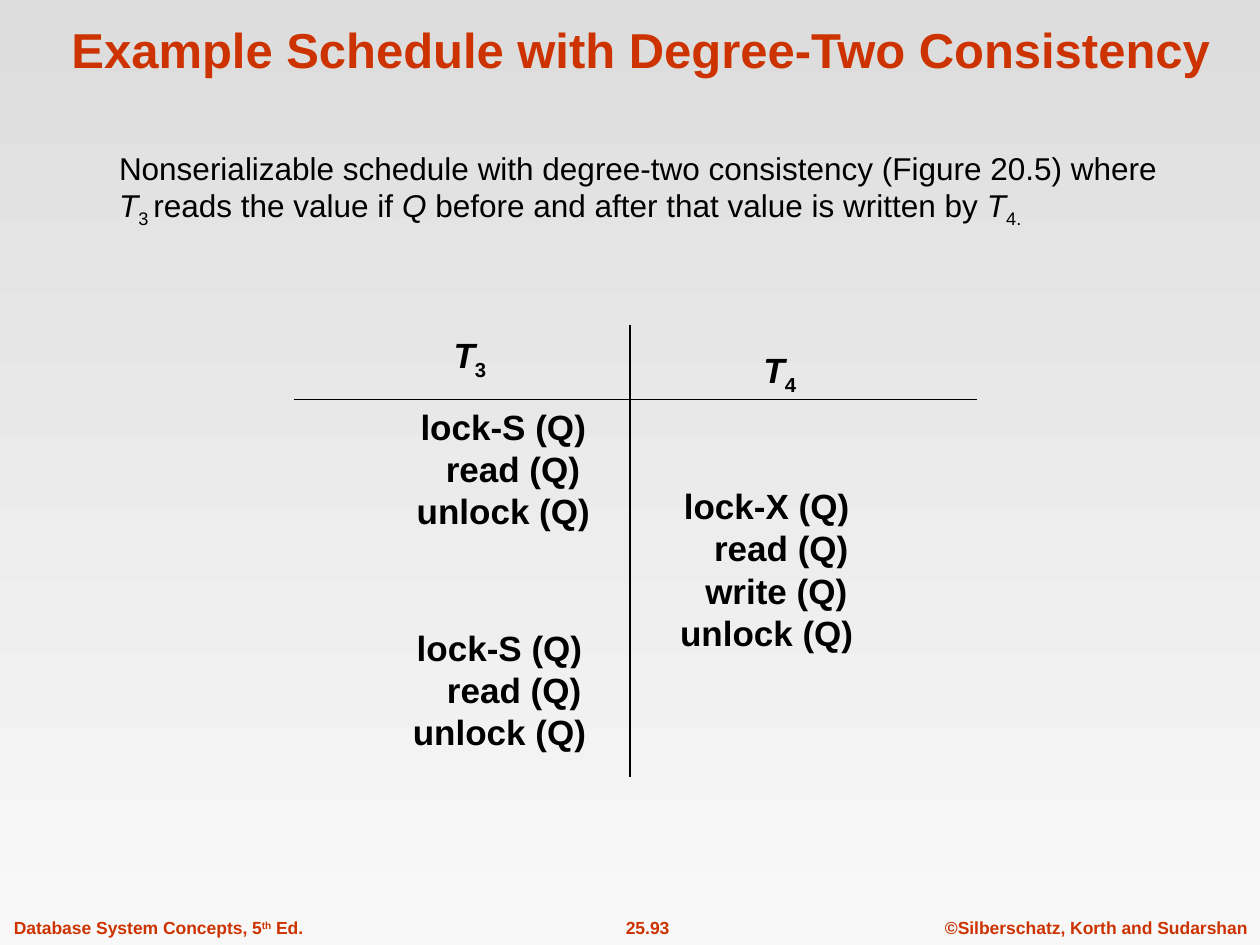
from dataclasses import dataclass
from typing import NamedTuple

from lxml import etree
from pptx import Presentation, util as u
from pptx.dml.color import RGBColor
from pptx.enum import shapes, text
from pptx.oxml.ns import qn

COLS, ROWS = 100, 75
CELL = u.Inches(0.1)
LEFT, CENTER, RIGHT = text.PP_ALIGN.LEFT, text.PP_ALIGN.CENTER, text.PP_ALIGN.RIGHT
TOP, BOTTOM = text.MSO_ANCHOR.TOP, text.MSO_ANCHOR.BOTTOM


@dataclass(frozen=True)
class Theme:
    font: str = "Arial"
    accent: str = "CC3300"
    ink: str = "000000"
    mark: str = "FFFFFF"
    sky: str = "DDDDDD"
    ground: str = "F8F8F8"
    title: float = 28
    step: float = 20
    body: float = 18
    footer: float = 10
    rule: float = 0.75


class Area(NamedTuple):
    """Left, top, width and height in grid cells."""
    col: float
    row: float
    cols: float
    rows: float


class Run(NamedTuple):
    text: str
    italic: bool = False
    baseline: int = 0


class Line(NamedTuple):
    runs: list[Run]
    indent: float = 0


class Footer(NamedTuple):
    area: Area
    runs: list[Run]
    align: text.PP_ALIGN


class Steps(NamedTuple):
    """Operations of one transaction, each with its indent in cells."""
    area: Area
    operations: list[tuple[str, float]]


THEME = Theme()
SUB, SUPER = -25, 30
SMALL, LARGE = 1.54, 2.32

FOOTERS = [
    Footer(Area(1.1, 72.3, 24, 2.7),
           [Run("Database System Concepts, 5"), Run("th", baseline=SUPER), Run(" Ed.")], LEFT),
    Footer(Area(46.1, 72.3, 10.6, 2.7), [Run("25.93")], CENTER),
    Footer(Area(74, 72.3, 25, 2.7), [Run("©Silberschatz, Korth and Sudarshan")], RIGHT),
]
BODY = [
    Run("Nonserializable schedule with degree-two consistency (Figure 20.5) where "),
    Run("T", True), Run("3 ", baseline=SUB), Run("reads the value if "), Run("Q", True),
    Run(" before and after that value is written by "), Run("T", True),
    Run("4.", baseline=SUB),
]
HEADINGS = [("3", Area(35, 26, 4.6, 4.8)), ("4", Area(59.6, 27.2, 4.6, 4.8))]
SCHEDULE = [
    Steps(Area(32.1, 31.7, 15.7, 11),
          [("lock-S (Q)", 0), ("read (Q)", SMALL), ("unlock (Q)", 0)]),
    Steps(Area(31.8, 49.2, 15.7, 11),
          [("lock-S (Q)", 0), ("read (Q)", LARGE), ("unlock (Q)", 0)]),
    Steps(Area(53, 38, 15.7, 14.4),
          [("lock-X (Q)", 0), ("read (Q)", LARGE), ("write (Q)", SMALL), ("unlock (Q)", 0)]),
]
RULES = [((23.3, 31.7), (77.5, 31.7)), ((50, 25.8), (50, 61.7))]
MARK = [(97.5, 60.1), (97.6, 59.8), (97.8, 59.7), (98, 59.6), (98.3, 59.5), (98.7, 59.5),
        (99.2, 59.6), (99.7, 59.7), (100, 59.8), (99.9, 59.9), (99.6, 59.9), (99.3, 59.8),
        (98.8, 59.7), (98.8, 60), (98.5, 59.7), (98.5, 60), (98.2, 59.7), (98.3, 60),
        (98, 59.8), (97.8, 59.9), (97.6, 60)]


def cells(*values: float) -> list[int]:
    return [round(v * CELL) for v in values]


def rgb(value: str) -> RGBColor:
    return RGBColor.from_string(value)


def add_text(s, area: Area, lines: list[Line], *, size: float, color: str = THEME.ink,
             bold: bool = True, align=CENTER, anchor=TOP) -> None:
    tf = s.shapes.add_textbox(*cells(*area)).text_frame
    tf.word_wrap = True
    tf.vertical_anchor = anchor
    tf.margin_left = tf.margin_right = 0
    for i, line in enumerate(lines):
        p = tf.paragraphs[0] if i == 0 else tf.add_paragraph()
        p.alignment = align
        if line.indent:
            p._p.get_or_add_pPr().set("marL", str(round(line.indent * CELL)))
        for run in line.runs:
            r = p.add_run()
            r.text = run.text
            r.font.name, r.font.size = THEME.font, u.Pt(size)
            r.font.bold, r.font.italic = bold, run.italic
            r.font.color.rgb = rgb(color)
            if run.baseline:
                r.font._element.set("baseline", str(run.baseline * 1000))


def add_rule(s, start: tuple[float, float], end: tuple[float, float]) -> None:
    line = s.shapes.add_connector(shapes.MSO_CONNECTOR.STRAIGHT, *cells(*start, *end))
    line.line.color.rgb = rgb(THEME.ink)
    line.line.width = u.Pt(THEME.rule)
    etree.SubElement(line._element.spPr, qn("a:effectLst"))


def add_mark(s, points: list[tuple[float, float]]) -> None:
    builder = s.shapes.build_freeform(*points[0], scale=CELL)
    builder.add_line_segments(points[1:], close=True)
    sp = builder.convert_to_shape()
    sp.shadow.inherit = False
    sp.fill.solid()
    sp.fill.fore_color.rgb = rgb(THEME.mark)
    sp.line.fill.background()


def paint_background(s) -> None:
    fill = s.background.fill
    fill.gradient()
    fill.gradient_angle = 270
    for stop, color in zip(fill.gradient_stops, (THEME.sky, THEME.ground)):
        stop.color.rgb = rgb(color)


def main() -> None:
    prs = Presentation()
    prs.slide_width, prs.slide_height = cells(COLS, ROWS)
    s = prs.slides.add_slide(prs.slide_layouts[6])
    paint_background(s)
    for footer in FOOTERS:
        add_text(s, footer.area, [Line(footer.runs)], size=THEME.footer,
                 color=THEME.accent, align=footer.align)
    add_mark(s, MARK)
    add_text(s, Area(2.5, -0.8, 96.7, 7.5),
             [Line([Run("Example Schedule with Degree-Two Consistency")])],
             size=THEME.title, color=THEME.accent, anchor=BOTTOM)
    add_text(s, Area(9.45, 11.3, 83.6, 11.7), [Line(BODY)], size=THEME.body,
             bold=False, align=LEFT)
    for number, area in HEADINGS:
        add_text(s, area, [Line([Run("T", True), Run(number, baseline=SUB)])], size=THEME.step)
    for start, end in RULES:
        add_rule(s, start, end)
    for steps in SCHEDULE:
        add_text(s, steps.area, [Line([Run(name)], indent) for name, indent in steps.operations],
                 size=THEME.step)
    prs.save("out.pptx")


if __name__ == "__main__":
    main()
